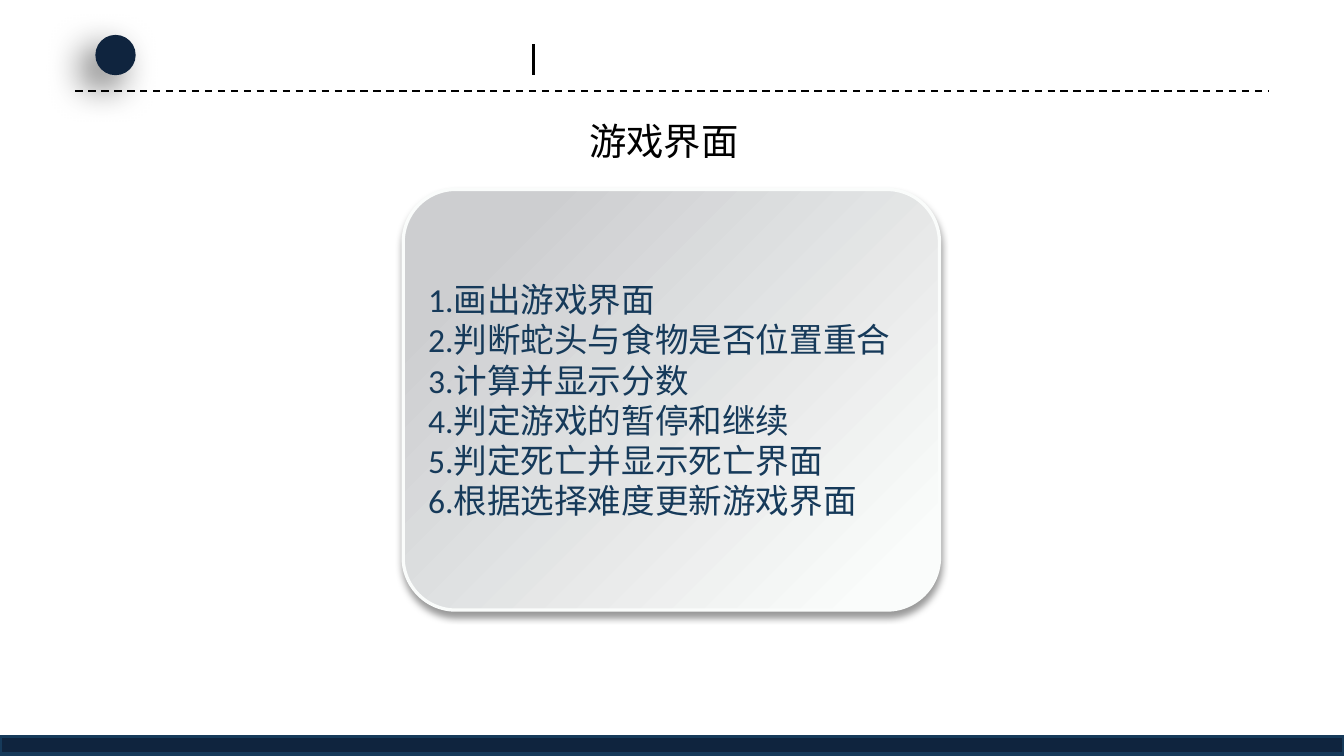
import pptx
import pptx.util
from pptx.dml.color import RGBColor
from pptx.enum.dml import MSO_LINE
from pptx.enum.shapes import MSO_CONNECTOR, MSO_SHAPE
from pptx.enum.text import MSO_ANCHOR, MSO_AUTO_SIZE, PP_ALIGN
from pptx.oxml import parse_xml
from pptx.oxml.ns import nsdecls
from pptx.util import Inches, Pt

# Content
TITLE = "游戏界面"
STEPS = [
    "画出游戏界面",
    "判断蛇头与食物是否位置重合",
    "计算并显示分数",
    "判定游戏的暂停和继续",
    "判定死亡并显示死亡界面",
    "根据选择难度更新游戏界面",
]

# Look
BLACK = RGBColor(0x00, 0x00, 0x00)
NAVY = RGBColor(0x0F, 0x24, 0x3E)
BLUE = RGBColor(0x16, 0x3A, 0x5A)
SILVER = RGBColor(0xCD, 0xCE, 0xD0)
PALE = RGBColor(0xFA, 0xFC, 0xFB)
FONT = "Calibri"
WIDTH = 10
HEIGHT = WIDTH * 9 / 16


def set_values(target, values):
    for name, value in values.items():
        setattr(target, name, value)


def place(shape, left, top, width, height):
    set_values(shape, {"left": Inches(left), "top": Inches(top),
                       "width": Inches(width), "height": Inches(height)})


def write(shape, lines, alignment, size, color):
    shape.text_frame.text = "\n".join(lines)
    for paragraph in shape.text_frame.paragraphs:
        set_values(paragraph, {"alignment": alignment, "space_before": Pt(0)})
        set_values(paragraph.runs[0].font, {"name": FONT, "size": Pt(size)})
        paragraph.runs[0].font.color.rgb = color


def add_shadow(shape, blur, distance, angle, opacity):
    shape._element.spPr.append(parse_xml(
        f'<a:effectLst {nsdecls("a")}><a:outerShdw blurRad="{Pt(blur)}" '
        f'dist="{Pt(distance)}" dir="{angle * 60000}" algn="ctr" rotWithShape="0">'
        f'<a:srgbClr val="000000"><a:alpha val="{opacity * 1000}"/></a:srgbClr>'
        '</a:outerShdw></a:effectLst>'))


def add_solid(slide, kind, box, color):
    shape = slide.shapes.add_shape(kind, *map(Inches, box))
    shape.fill.solid()
    shape.fill.fore_color.rgb = color
    return shape


def add_line(slide, start, end, width, dash=None):
    line = slide.shapes.add_connector(
        MSO_CONNECTOR.STRAIGHT, *map(Inches, start + end))
    set_values(line.line, {"width": Pt(width), "dash_style": dash})
    line.line.color.rgb = BLACK
    line._element.spPr.append(parse_xml(f'<a:effectLst {nsdecls("a")}/>'))


presentation = pptx.Presentation()
set_values(presentation, {"slide_width": Inches(WIDTH), "slide_height": Inches(HEIGHT)})
slide = presentation.slides.add_slide(presentation.slide_layouts[1])

# Title
title = slide.shapes.title
place(title, 4.28, 0.83, 1.32, 0.44)
write(title, [TITLE], PP_ALIGN.CENTER, 20, BLACK)
set_values(title.text_frame, {"word_wrap": False, "vertical_anchor": MSO_ANCHOR.TOP,
                              "auto_size": MSO_AUTO_SIZE.SHAPE_TO_FIT_TEXT})

# Rounded card with the numbered steps
card = slide.placeholders[1]
place(card, 3, 1.41, 3.99, 3.13)
card._element.spPr.xfrm.addnext(parse_xml(
    f'<a:prstGeom {nsdecls("a")} prst="roundRect"><a:avLst>'
    '<a:gd name="adj" fmla="val 12500"/></a:avLst></a:prstGeom>'))
card.fill.gradient()
card.fill.gradient_angle = 315
for stop, (position, color) in zip(card.fill.gradient_stops,
                                   [(0.15, SILVER), (0.92, PALE)]):
    stop.position = position
    stop.color.rgb = color
card.line.color.rgb = PALE
card.line.width = Pt(1.75)
add_shadow(card, blur=4, distance=3, angle=90, opacity=40)
write(card, [f"{number}.{step}" for number, step in enumerate(STEPS, 1)],
      PP_ALIGN.JUSTIFY, 18, BLUE)
set_values(card.text_frame, {
    "word_wrap": True, "auto_size": MSO_AUTO_SIZE.NONE,
    "vertical_anchor": MSO_ANCHOR.MIDDLE,
    "margin_left": Inches(0.07), "margin_right": Inches(0.07),
    "margin_top": Inches(0.04), "margin_bottom": Inches(0.04)})
for paragraph in card.text_frame.paragraphs:
    properties = paragraph._p.get_or_add_pPr()
    properties.set("marL", "0")
    properties.set("indent", "0")
    properties.append(parse_xml(f'<a:buNone {nsdecls("a")}/>'))

# Header: dashed rule, dot and divider
add_line(slide, (0.56, 0.68), (9.44, 0.68), 1, MSO_LINE.DASH)
dot = add_solid(slide, MSO_SHAPE.OVAL, (0.71, 0.26, 0.3, 0.3), NAVY)
dot.line.fill.background()
add_shadow(dot, blur=20, distance=10, angle=135, opacity=60)
add_line(slide, (3.97, 0.33), (3.97, 0.56), 1.5)

# Footer bar
footer = add_solid(slide, MSO_SHAPE.RECTANGLE, (0, 5.48, WIDTH, 0.13), NAVY)
footer.line.color.rgb = BLUE
footer.line.width = Pt(2)
footer.shadow.inherit = False

presentation.save("out.pptx")
